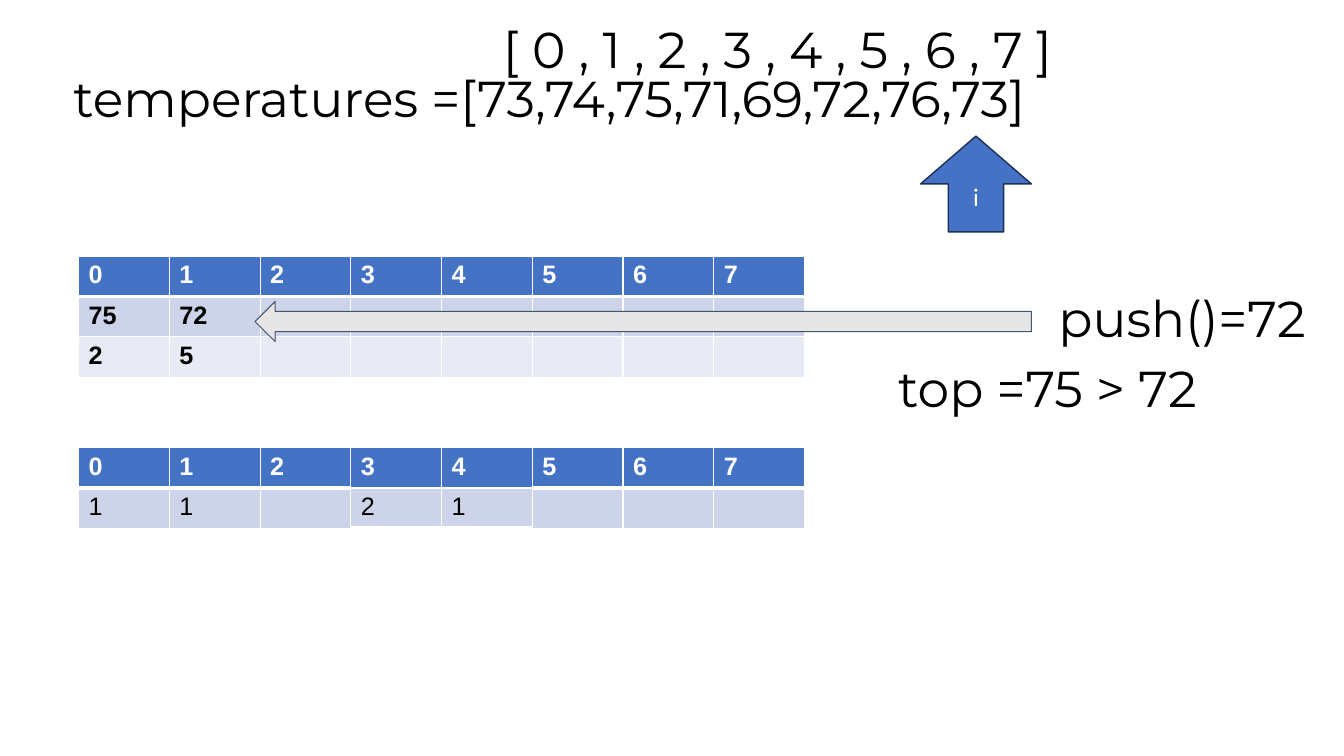
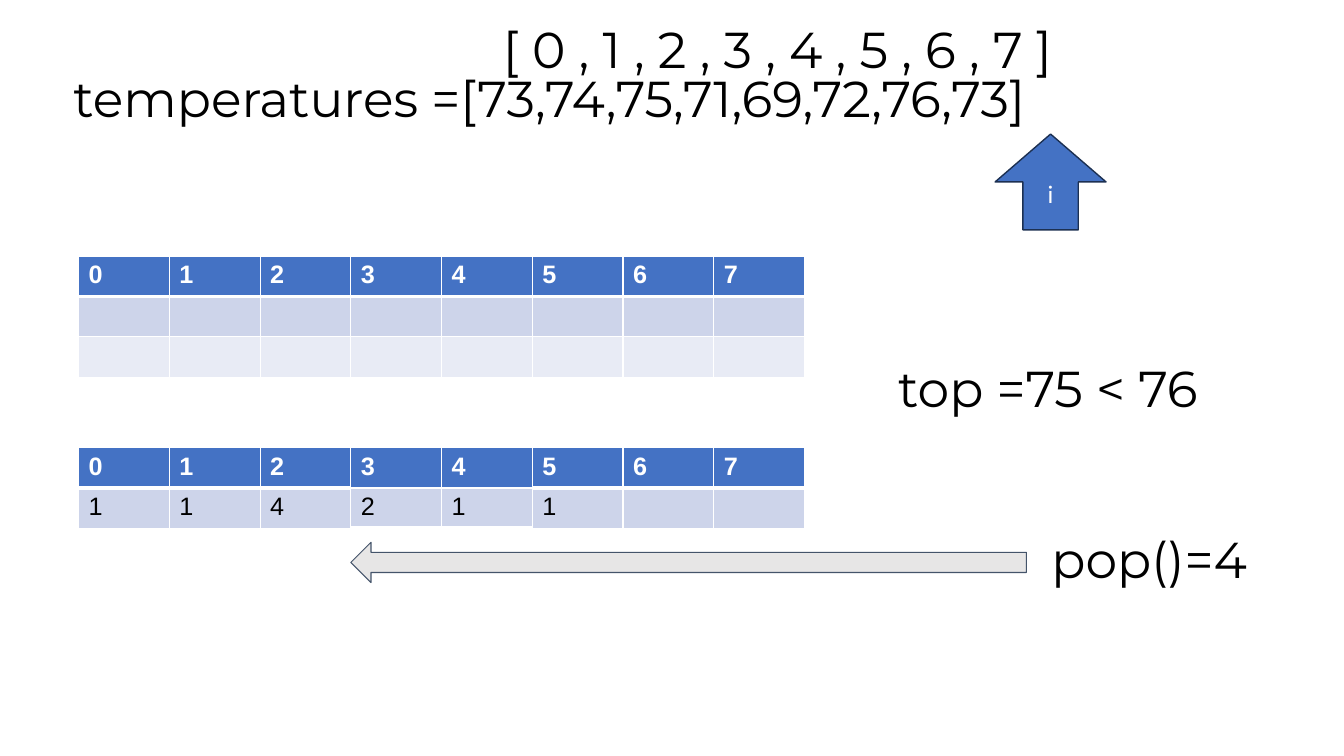
"""Build two slides that trace a monotonic stack over daily temperatures."""
from dataclasses import dataclass

from lxml.etree import SubElement
from pptx import Presentation
from pptx.dml.color import RGBColor
from pptx.enum.shapes import MSO_SHAPE as Preset
from pptx.enum.text import MSO_ANCHOR as Anchor, PP_ALIGN as Align
from pptx.oxml.ns import qn
from pptx.slide import Slide
from pptx.table import _Cell as Cell
from pptx.util import Inches, Pt

BLACK = RGBColor(0x00, 0x00, 0x00)
WHITE = RGBColor(0xFF, 0xFF, 0xFF)
BLUE = RGBColor(0x44, 0x72, 0xC4)
NAVY = RGBColor(0x1C, 0x30, 0x52)
SLATE = RGBColor(0x44, 0x54, 0x6A)
GREY = RGBColor(0xE7, 0xE6, 0xE6)
BANDS = (RGBColor(0xCD, 0xD4, 0xEA), RGBColor(0xE8, 0xEB, 0xF5))

COLUMNS = 8
COLUMN_WIDTH = 0.9
ROW_HEIGHT = 0.39
TABLE_LEFT = 0.78
STACK_TOP = 2.54
ANSWER_TOP = 4.44
THIN, THICK = 1, 3
SHIFTED_COLUMNS = (3, 4)
TITLE = "temperatures =[73,74,75,71,69,72,76,73]"
INDEXES = "[ 0 , 1 , 2 , 3 , 4 , 5 , 6 , 7 ]"


@dataclass(frozen=True)
class Area:
    left: float
    top: float
    width: float
    height: float

    def lengths(self) -> list[int]:
        return [Inches(n) for n in (self.left, self.top, self.width, self.height)]


@dataclass(frozen=True)
class Step:
    stack: list[list[str]]
    answer: list[str]
    pointer: Area
    comparison: str
    arrow: Area
    operation: str
    operation_area: Area


STEPS = [
    Step([["75", "72"], ["2", "5"]], ["1", "1", "", "2", "1"],
         Area(9.13, 1.35, 1.1, 0.95), "top =75 > 72",
         Area(2.53, 2.99, 7.7, 0.4), "push()=72", Area(10.4, 2.82, 2.9, 0.75)),
    Step([[], []], ["1", "1", "4", "2", "1", "1"],
         Area(9.87, 1.33, 1.1, 0.95), "top =75 < 76",
         Area(3.48, 5.38, 6.7, 0.4), "pop()=4", Area(10.33, 5.21, 2.9, 0.75)),
]


def add_label(page: Slide, area: Area, text: str, anchor: Anchor = Anchor.TOP,
              inset: float = 0.1) -> None:
    frame = page.shapes.add_textbox(*area.lengths()).text_frame
    frame.word_wrap = True
    frame.vertical_anchor = anchor
    frame.margin_top = frame.margin_bottom = Inches(inset)
    frame.text = text
    para = frame.paragraphs[0]
    para.line_spacing = 0.9
    font = para.runs[0].font
    font.name, font.size = "Montserrat", Pt(36)
    font.color.rgb = BLACK


def add_arrow(page: Slide, preset: Preset, area: Area, fill: RGBColor,
              line: RGBColor, weight: float, text: str = "") -> None:
    arrow = page.shapes.add_shape(preset, *area.lengths())
    arrow.shadow.inherit = False
    arrow.fill.solid()
    arrow.fill.fore_color.rgb = fill
    arrow.line.color.rgb = line
    arrow.line.width = Pt(weight)
    if text:
        arrow.text_frame.text = text
        para = arrow.text_frame.paragraphs[0]
        para.alignment = Align.CENTER
        font = para.runs[0].font
        font.name, font.size = "Calibri", Pt(18)
        font.color.rgb = WHITE


def set_borders(cell: Cell, top: int, bottom: int) -> None:
    properties = cell._tc.get_or_add_tcPr()
    for side, weight in zip("LRTB", (THIN, THIN, top, bottom)):
        border = SubElement(properties, qn(f"a:ln{side}"), w=str(Pt(weight)))
        fill = SubElement(border, qn("a:solidFill"))
        SubElement(fill, qn("a:srgbClr"), val=str(WHITE))


def add_grid(page: Slide, top: float, values: list[list[str]], bold: bool,
             shifted: tuple[int, ...] = ()) -> None:
    rows = [[str(index) for index in range(COLUMNS)], *values]
    area = Area(TABLE_LEFT, top, COLUMNS * COLUMN_WIDTH, len(rows) * ROW_HEIGHT)
    table = page.shapes.add_table(len(rows), COLUMNS, *area.lengths()).table
    for column in table.columns:
        column.width = Inches(COLUMN_WIDTH)
    for row_number, row in enumerate(rows):
        table.rows[row_number].height = Inches(ROW_HEIGHT)
        is_header = row_number == 0
        for column_number in range(COLUMNS):
            cell = table.cell(row_number, column_number)
            thick_row = 1 if column_number in shifted else 0
            set_borders(cell,
                        THICK if row_number == thick_row + 1 else THIN,
                        THICK if row_number == thick_row else THIN)
            cell.fill.solid()
            cell.fill.fore_color.rgb = BLUE if is_header else BANDS[row_number - 1]
            cell.text_frame.text = row[column_number] if column_number < len(row) else ""
            font = cell.text_frame.paragraphs[0].font
            for span in cell.text_frame.paragraphs[0].runs:
                font = span.font
            font.name, font.size = "Arial", Pt(18)
            font.bold = is_header or bold
            font.color.rgb = WHITE if is_header else BLACK


def add_step(page: Slide, step: Step) -> None:
    add_label(page, Area(0.63, 0.28, 11.68, 1.45), TITLE, Anchor.MIDDLE, 0.05)
    add_grid(page, STACK_TOP, step.stack, bold=True)
    add_arrow(page, Preset.UP_ARROW, step.pointer, BLUE, NAVY, 1, "i")
    add_grid(page, ANSWER_TOP, [step.answer], bold=False, shifted=SHIFTED_COLUMNS)
    add_label(page, Area(8.81, 3.51, 4.24, 0.75), step.comparison)
    add_arrow(page, Preset.LEFT_ARROW, step.arrow, GREY, SLATE, 0.75)
    add_label(page, step.operation_area, step.operation)
    add_label(page, Area(4.89, 0.15, 8.23, 0.57), INDEXES)


def main() -> None:
    deck = Presentation()
    deck.slide_width, deck.slide_height = Inches(13.33), Inches(7.5)
    for step in STEPS:
        add_step(deck.slides.add_slide(deck.slide_layouts[6]), step)
    deck.save("out.pptx")


if __name__ == "__main__":
    main()
